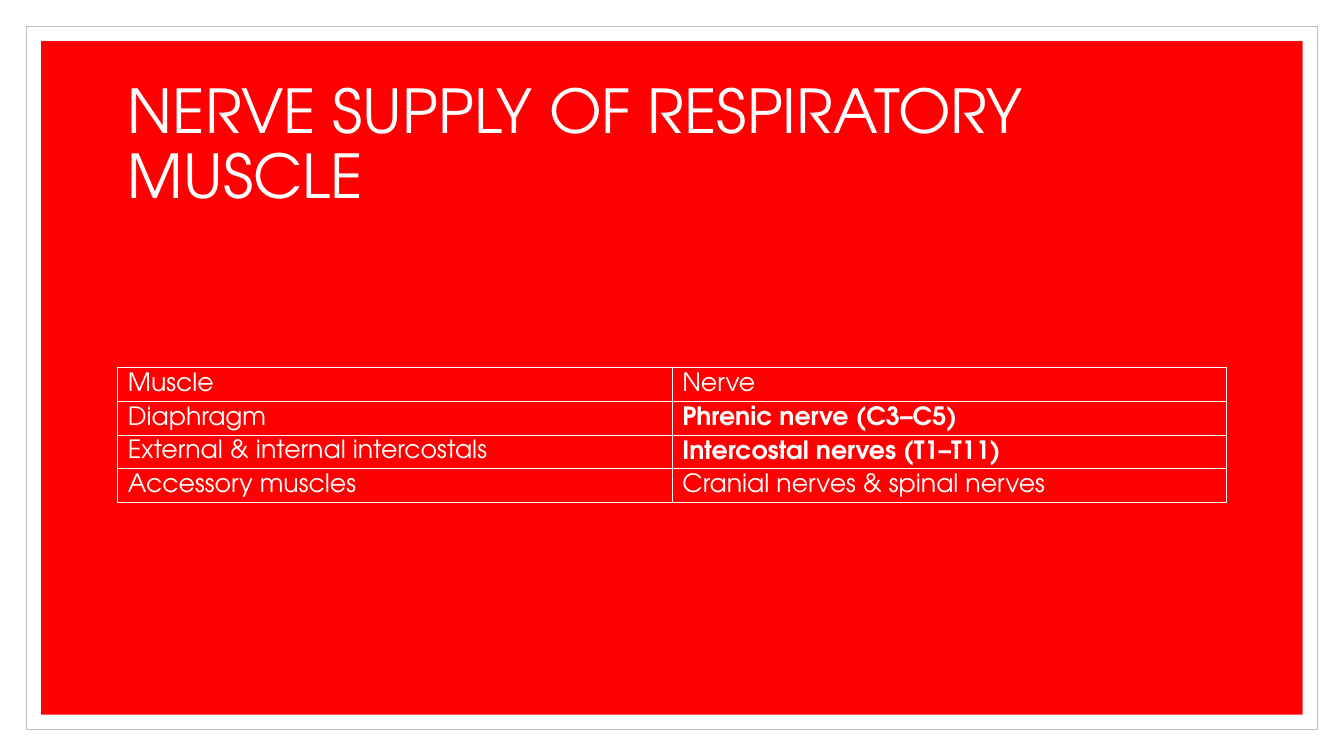
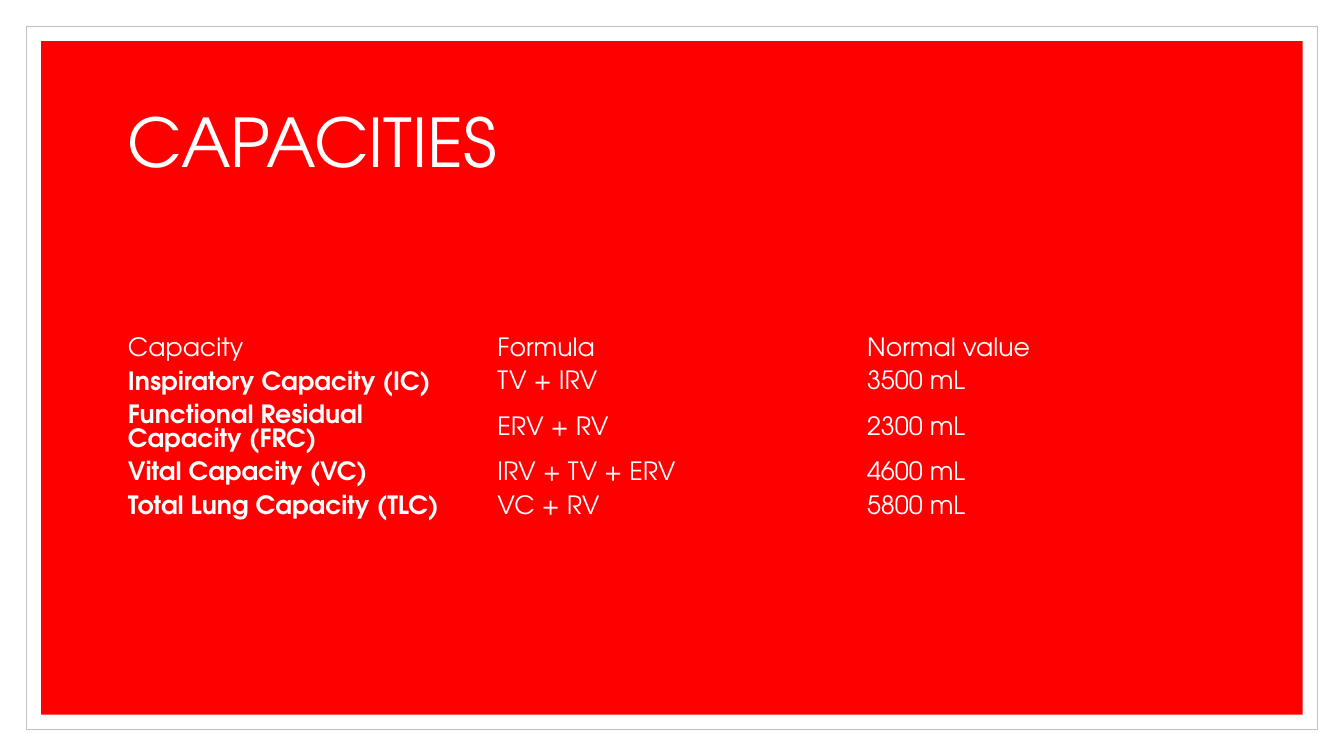
from dataclasses import dataclass
from typing import Optional

from lxml.etree import SubElement
from pptx import Presentation
from pptx.dml.color import RGBColor
from pptx.enum.shapes import MSO_SHAPE as Preset
from pptx.enum.text import MSO_ANCHOR as Anchor, MSO_AUTO_SIZE as AutoSize, PP_ALIGN as Align
from pptx.oxml.ns import qn
from pptx.util import Cm, Pt

FONT = "TeX Gyre Adventor"
WHITE = "FFFFFF"
RED = "FF0000"
GREY = "BFBFBF"
PAGE_WIDTH, PAGE_HEIGHT = 33.87, 19.05
CONTENT_LEFT, CONTENT_WIDTH = 2.97, 27.94
TITLE_TOP, TITLE_HEIGHT = 1.78, 3.81
ROW_HEIGHT = 0.8


@dataclass(frozen=True)
class Frame:
    margin: float
    fill: str
    line: Optional[str] = None


@dataclass(frozen=True)
class TablePage:
    title: str
    title_size: float
    table_top: float
    rows: tuple[tuple[str, ...], ...]
    bold_column: int
    bold_rows: tuple[int, ...]
    border: Optional[str] = None


FRAMES = (Frame(0.66, WHITE, GREY), Frame(1.04, RED))

PAGES = (
    TablePage(
        "NERVE SUPPLY OF RESPIRATORY MUSCLE", 43.2, 9.27,
        (
            ("Muscle", "Nerve"),
            ("Diaphragm", "Phrenic nerve (C3–C5)"),
            ("External & internal intercostals", "Intercostal nerves (T1–T11)"),
            ("Accessory muscles", "Cranial nerves & spinal nerves"),
        ),
        bold_column=1, bold_rows=(1, 2), border=WHITE,
    ),
    TablePage(
        "CAPACITIES", 48, 8.38,
        (
            ("Capacity", "Formula", "Normal value"),
            ("Inspiratory Capacity (IC)", "TV + IRV", "3500 mL"),
            ("Functional Residual Capacity (FRC)", "ERV + RV", "2300 mL"),
            ("Vital Capacity (VC)", "IRV + TV + ERV", "4600 mL"),
            ("Total Lung Capacity (TLC)", "VC + RV", "5800 mL"),
        ),
        bold_column=0, bold_rows=(1, 2, 3, 4),
    ),
)


def color(value: str) -> RGBColor:
    return RGBColor.from_string(value)


def write_text(text_frame, text: str, *, size: float, spacing, bold: bool = False) -> None:
    para = text_frame.paragraphs[0]
    para.alignment = Align.LEFT
    para.line_spacing = spacing
    span = para.add_run()
    span.text = text
    span.font.name = FONT
    span.font.size = Pt(size)
    span.font.bold = bold
    span.font.color.rgb = color(WHITE)


def add_frames(page, layout) -> None:
    for index, frame in enumerate(FRAMES):
        box = page.shapes.add_shape(
            Preset.RECTANGLE, Cm(frame.margin), Cm(frame.margin),
            Cm(PAGE_WIDTH - 2 * frame.margin), Cm(PAGE_HEIGHT - 2 * frame.margin),
        )
        box.shadow.inherit = False
        box.fill.solid()
        box.fill.fore_color.rgb = color(frame.fill)
        if frame.line:
            box.line.color.rgb = color(frame.line)
            box.line.width = Pt(0.5)
        else:
            box.line.fill.background()
        box.element.nvSpPr.cNvPr.set("id", str(100 + index))
        layout.shapes.element.insert(2 + index, box.element)


def set_borders(cell, border: Optional[str]) -> None:
    properties = cell._tc.get_or_add_tcPr()
    for side in ("a:lnL", "a:lnR", "a:lnT", "a:lnB"):
        line = SubElement(properties, qn(side), w=str(Pt(1)))
        if border:
            SubElement(SubElement(line, qn("a:solidFill")), qn("a:srgbClr"), val=border)
        else:
            SubElement(line, qn("a:noFill"))


def add_title(page, content: TablePage) -> None:
    title = page.shapes.title
    title.left, title.top = Cm(CONTENT_LEFT), Cm(TITLE_TOP)
    title.width, title.height = Cm(CONTENT_WIDTH), Cm(TITLE_HEIGHT)
    title.text_frame.word_wrap = True
    title.text_frame.auto_size = AutoSize.NONE
    title.text_frame.vertical_anchor = Anchor.MIDDLE
    write_text(title.text_frame, content.title, size=content.title_size, spacing=0.9)


def add_table(page, content: TablePage) -> None:
    row_count, column_count = len(content.rows), len(content.rows[0])
    table = page.shapes.add_table(
        row_count, column_count, Cm(CONTENT_LEFT), Cm(content.table_top),
        Cm(CONTENT_WIDTH), Cm(ROW_HEIGHT * row_count),
    ).table
    table.first_row = False
    table.horz_banding = False
    for row_index, row in enumerate(content.rows):
        for column_index, text in enumerate(row):
            cell = table.cell(row_index, column_index)
            set_borders(cell, content.border)
            cell.fill.background()
            cell.vertical_anchor = Anchor.MIDDLE
            bold = column_index == content.bold_column and row_index in content.bold_rows
            write_text(cell.text_frame, text, size=18, spacing=Pt(16.8), bold=bold)


def main() -> None:
    deck = Presentation()
    deck.slide_width, deck.slide_height = Cm(PAGE_WIDTH), Cm(PAGE_HEIGHT)
    layout = deck.slide_layouts.get_by_name("Title Only")
    for index, content in enumerate(PAGES):
        page = deck.slides.add_slide(layout)
        if index == 0:
            add_frames(page, layout)
        add_title(page, content)
        add_table(page, content)
    deck.save("out.pptx")


if __name__ == "__main__":
    main()
